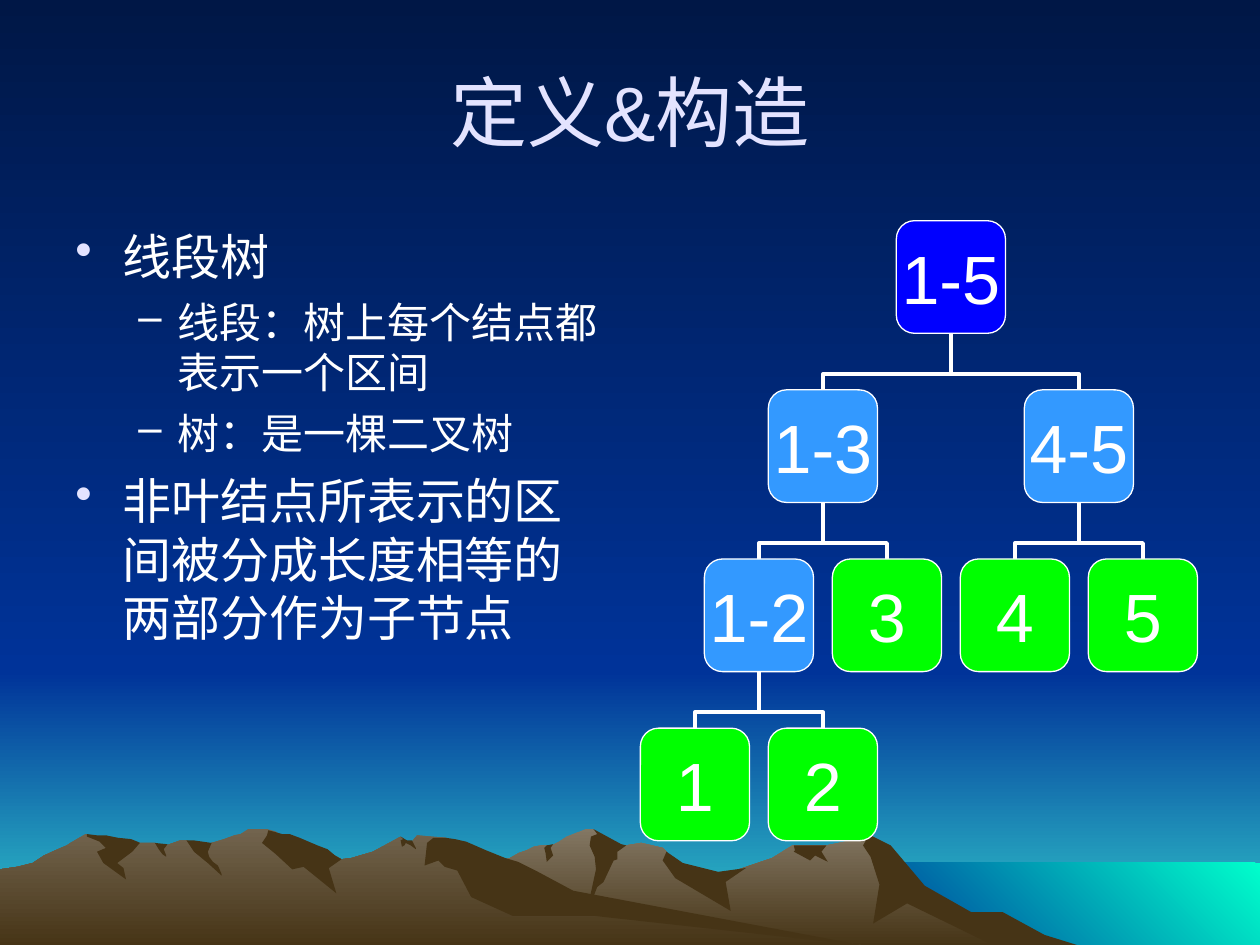
from lxml.etree import SubElement
from pptx import Presentation
from pptx.dml.color import RGBColor
from pptx.enum.shapes import MSO_CONNECTOR as CONN, MSO_SHAPE as SHAPE
from pptx.enum.text import MSO_ANCHOR as ANCHOR, PP_ALIGN as ALIGN
from pptx.oxml.ns import qn
from pptx.util import Cm, Pt

NAVY, BLUE, TEAL, AQUA = "001746", "003399", "33CCCC", "00FFCC"
STONE, SAND, EARTH = "837763", "72644E", "463416"
WHITE, LILAC = "FFFFFF", "E3E3FF"
ROOT, INNER, LEAF = "0000FF", "3399FF", "00FF00"

POINT_SCALE = Cm(2.54) / 100
NODE_W, NODE_H = 2.2, 2.27
LEFT, TOP, COL_STEP, ROW_STEP = 14.01, 4.45, 2.58, 3.41

RIGHT_RIDGE = [
    (802, 740), (778, 727), (764, 723), (723, 698), (702, 671), (685, 660), (676, 667),
    (656, 671), (629, 671), (613, 681), (566, 697), (536, 690), (529, 676), (526, 673),
    (509, 669), (497, 671), (486, 673), (474, 661), (471, 658), (465, 658), (450, 664),
    (444, 668), (438, 671), (430, 671), (424, 672), (418, 675), (412, 677), (405, 681),
    (399, 683), (394, 685), (355, 698), (327, 709), (277, 739), (258, 751), (821, 751)]
LEFT_RIDGE = [
    (690, 751), (667, 748), (432, 712), (354, 665), (331, 663), (327, 668), (323, 668),
    (318, 664), (296, 676), (279, 681), (271, 682), (260, 676), (236, 681), (223, 663),
    (219, 660), (212, 658), (197, 658), (194, 660), (191, 662), (186, 663), (178, 666),
    (168, 669), (160, 671), (148, 667), (143, 667), (132, 671), (128, 671), (123, 669),
    (111, 669), (94, 671), (68, 662), (56, 669), (53, 671), (46, 674), (35, 679),
    (26, 685), (14, 688), (0, 690), (0, 751)]
RIGHT_SHADOWS = [
    [(796, 724), (771, 724), (734, 703), (707, 671), (685, 660), (689, 664), (685, 671),
     (691, 680), (698, 702), (693, 733), (720, 717), (792, 752), (858, 751), (829, 742)],
    [(471, 658), (474, 662), (469, 664), (468, 671), (472, 680), (473, 690), (465, 727),
     (474, 704), (479, 700), (487, 683), (490, 682), (490, 676), (497, 671), (493, 670)],
    [(529, 676), (526, 683), (536, 697), (580, 723), (576, 700), (592, 689), (570, 692),
     (542, 685)],
    [(650, 671), (630, 671), (631, 675), (630, 676), (643, 683), (647, 679), (657, 684),
     (652, 676), (656, 671)],
    [(433, 677), (432, 673), (434, 671), (439, 670), (437, 673), (439, 679), (434, 684)]]
LEFT_SHADOWS = [
    [(212, 663), (208, 669), (219, 678), (232, 690), (241, 688), (267, 709), (261, 689),
     (271, 682), (266, 679), (260, 674), (252, 671), (238, 665), (230, 662), (224, 662),
     (217, 660), (213, 659)],
    [(370, 668), (361, 666), (354, 665), (344, 665), (339, 669), (337, 687), (348, 683),
     (353, 688), (363, 691), (374, 712), (407, 727), (472, 727), (690, 751), (683, 750),
     (455, 707), (427, 692), (411, 684), (401, 681), (386, 675)],
    [(318, 667), (320, 666), (318, 664), (323, 667), (327, 667), (330, 673), (330, 674),
     (326, 671), (322, 669), (321, 671), (319, 672)],
    [(154, 667), (161, 668), (168, 669), (165, 676), (166, 680), (169, 684), (173, 687),
     (176, 694), (176, 695), (165, 685), (154, 676), (148, 667)],
    [(133, 670), (130, 674), (132, 679), (132, 680), (129, 678), (126, 674), (123, 669)],
    [(109, 668), (111, 669), (105, 676), (93, 685), (98, 689), (100, 698), (82, 685),
     (77, 676), (84, 673), (79, 668), (69, 664), (69, 662), (77, 663), (84, 663),
     (94, 665), (104, 666)]]


def rgb(value):
    return RGBColor.from_string(value)


class SlideBuilder:
    font = "Arial"

    def __init__(self, slide):
        self.slide = slide
        self.shapes = slide.shapes

    def paint(self, fill, colors, angle=270):
        if isinstance(colors, str):
            fill.solid()
            fill.fore_color.rgb = rgb(colors)
            return
        fill.gradient()
        fill.gradient_angle = angle
        for stop, color in zip(fill.gradient_stops, colors):
            stop.color.rgb = rgb(color)

    def finish(self, sp, colors, angle=270):
        sp.shadow.inherit = False
        self.paint(sp.fill, colors, angle)
        sp.line.fill.background()

    def rect(self, x, y, w, h, colors, angle=270):
        sp = self.shapes.add_shape(SHAPE.RECTANGLE, Cm(x), Cm(y), Cm(w), Cm(h))
        self.finish(sp, colors, angle)

    def polygon(self, points, colors):
        builder = self.shapes.build_freeform(*points[0], scale=POINT_SCALE)
        builder.add_line_segments(points[1:], close=True)
        self.finish(builder.convert_to_shape(), colors)

    def run(self, p, text, size, color):
        r = p.add_run()
        r.text = text
        r.font.name = self.font
        r.font.size = Pt(size)
        r.font.color.rgb = rgb(color)

    def textbox(self, x, y, w, h, anchor):
        tf = self.shapes.add_textbox(Cm(x), Cm(y), Cm(w), Cm(h)).text_frame
        tf.word_wrap = True
        tf.vertical_anchor = anchor
        return tf

    def title(self, text):
        p = self.textbox(1.27, 0.64, 22.86, 3.18, ANCHOR.MIDDLE).paragraphs[0]
        p.alignment = ALIGN.CENTER
        self.run(p, text, 44, LILAC)

    def bullets(self, items):
        styles = [(0.95, -0.95, 7, "•", LILAC, 28), (2.06, -0.79, 6, "–", WHITE, 24)]
        tf = self.textbox(1.27, 4.45, 11.23, 12.5, ANCHOR.TOP)
        for i, (level, text) in enumerate(items):
            margin, indent, before, mark, color, size = styles[level]
            p = tf.add_paragraph() if i else tf.paragraphs[0]
            p.level = level
            p.space_before = Pt(before)
            pPr = p._p.get_or_add_pPr()
            pPr.set("marL", str(Cm(margin)))
            pPr.set("indent", str(Cm(indent)))
            SubElement(SubElement(pPr, qn("a:buClr")), qn("a:srgbClr")).set("val", color)
            SubElement(pPr, qn("a:buChar")).set("char", mark)
            self.run(p, text, size, WHITE)

    def node(self, center, top, text, color):
        sp = self.shapes.add_shape(SHAPE.ROUNDED_RECTANGLE, Cm(center - NODE_W / 2),
                                   Cm(top), Cm(NODE_W), Cm(NODE_H))
        self.finish(sp, color)
        sp.line.color.rgb = rgb(WHITE)
        sp.line.width = Pt(0.75)
        tf = sp.text_frame
        tf.margin_left = tf.margin_right = tf.margin_top = tf.margin_bottom = 0
        tf.word_wrap = False
        tf.vertical_anchor = ANCHOR.MIDDLE
        p = tf.paragraphs[0]
        p.alignment = ALIGN.CENTER
        self.run(p, text, 39, WHITE)

    def elbow(self, x1, y1, x2, y2):
        mx, my = (x1 + x2) / 2, (y1 + y2) / 2
        dx, dy = abs(x2 - x1) / 2, (y2 - y1) / 2
        line = self.shapes.add_connector(CONN.ELBOW, Cm(mx - dy), Cm(my - dx),
                                         Cm(mx + dy), Cm(my + dx))
        line.line.color.rgb = rgb(WHITE)
        line.line.width = Pt(2.25)
        spPr = line._element.spPr
        SubElement(spPr, qn("a:effectLst"))
        xfrm = spPr.find(qn("a:xfrm"))
        xfrm.set("rot", "5400000" if x2 < x1 else "16200000")
        if x2 > x1:
            xfrm.set("flipH", "1")
        guide = SubElement(spPr.find(qn("a:prstGeom")).find(qn("a:avLst")), qn("a:gd"))
        guide.set("name", "adj1")
        guide.set("fmla", "val 72000")

    def segment_tree(self, low, high, column, depth=0):
        center, top = LEFT + column * COL_STEP, TOP + depth * ROW_STEP
        if low == high:
            self.node(center, top, str(low), LEAF)
            return
        middle = (low + high) // 2
        spread = 0.5 if depth else 1
        halves = [(low, middle, column - spread), (middle + 1, high, column + spread)]
        for _, _, child in halves:
            self.elbow(center, top + NODE_H, LEFT + child * COL_STEP, top + ROW_STEP)
        self.node(center, top, f"{low}-{high}", INNER if depth else ROOT)
        for first, last, child in halves:
            self.segment_tree(first, last, child, depth + 1)

    def landscape(self):
        self.paint(self.slide.background.fill, (NAVY, BLUE))
        self.rect(0, 13.54, 25.4, 5.51, (BLUE, TEAL))
        self.rect(0, 0, 25.4, 13.54, (NAVY, BLUE))
        self.rect(17.35, 17.39, 8.05, 1.7, (AQUA, BLUE), 225)
        for ridge, light, shadows in ((RIGHT_RIDGE, STONE, RIGHT_SHADOWS),
                                      (LEFT_RIDGE, SAND, LEFT_SHADOWS)):
            self.polygon(ridge, (light, EARTH))
            for shadow in shadows:
                self.polygon(shadow, EARTH)


def main():
    prs = Presentation()
    prs.slide_width, prs.slide_height = Cm(25.4), Cm(19.05)
    s = SlideBuilder(prs.slides.add_slide(prs.slide_layouts[6]))
    s.landscape()
    s.title("定义&构造")
    s.bullets([
        (0, "线段树"),
        (1, "线段：树上每个结点都表示一个区间"),
        (1, "树：是一棵二叉树"),
        (0, "非叶结点所表示的区间被分成长度相等的两部分作为子节点"),
    ])
    s.segment_tree(1, 5, 2)
    prs.save("out.pptx")


if __name__ == "__main__":
    main()
